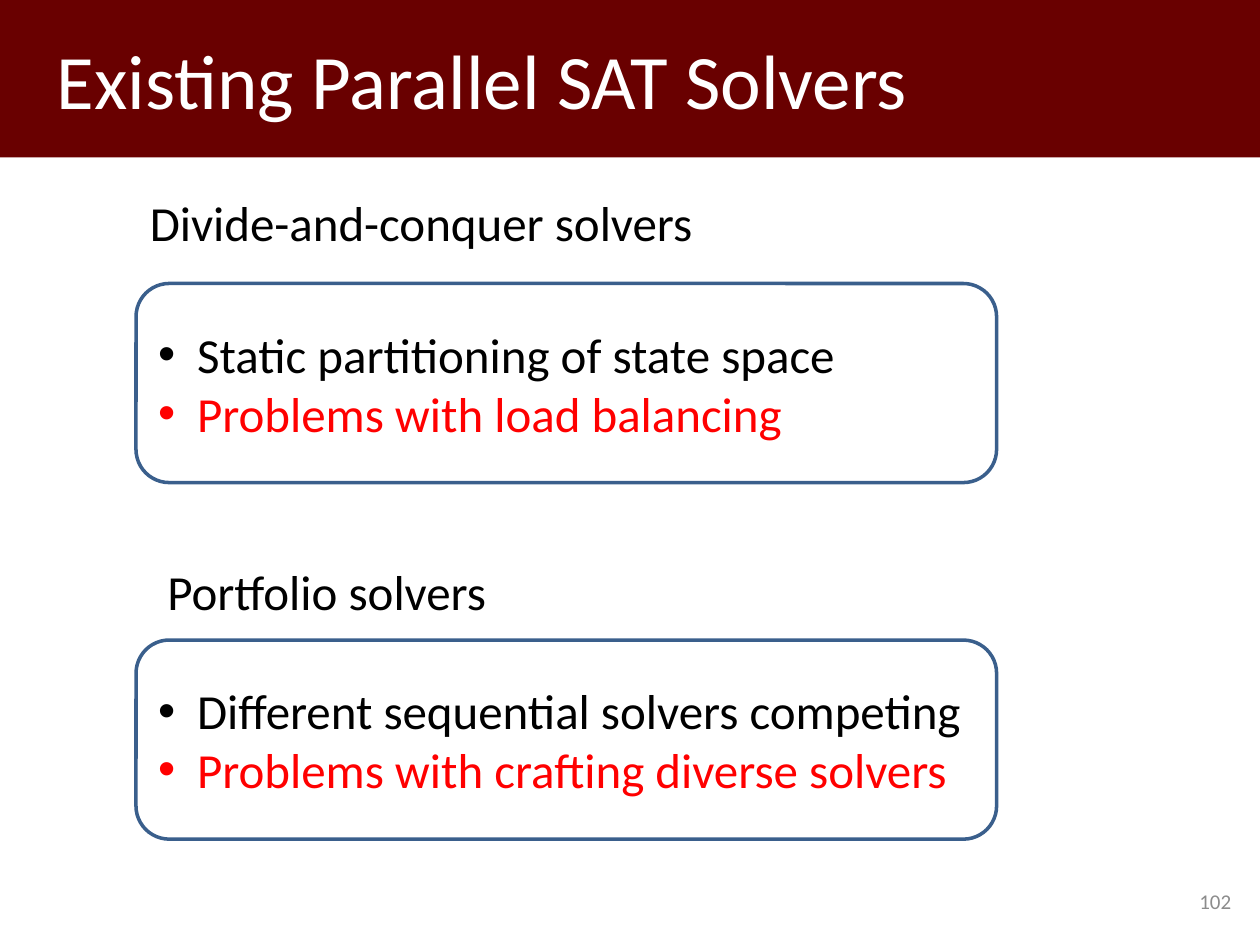
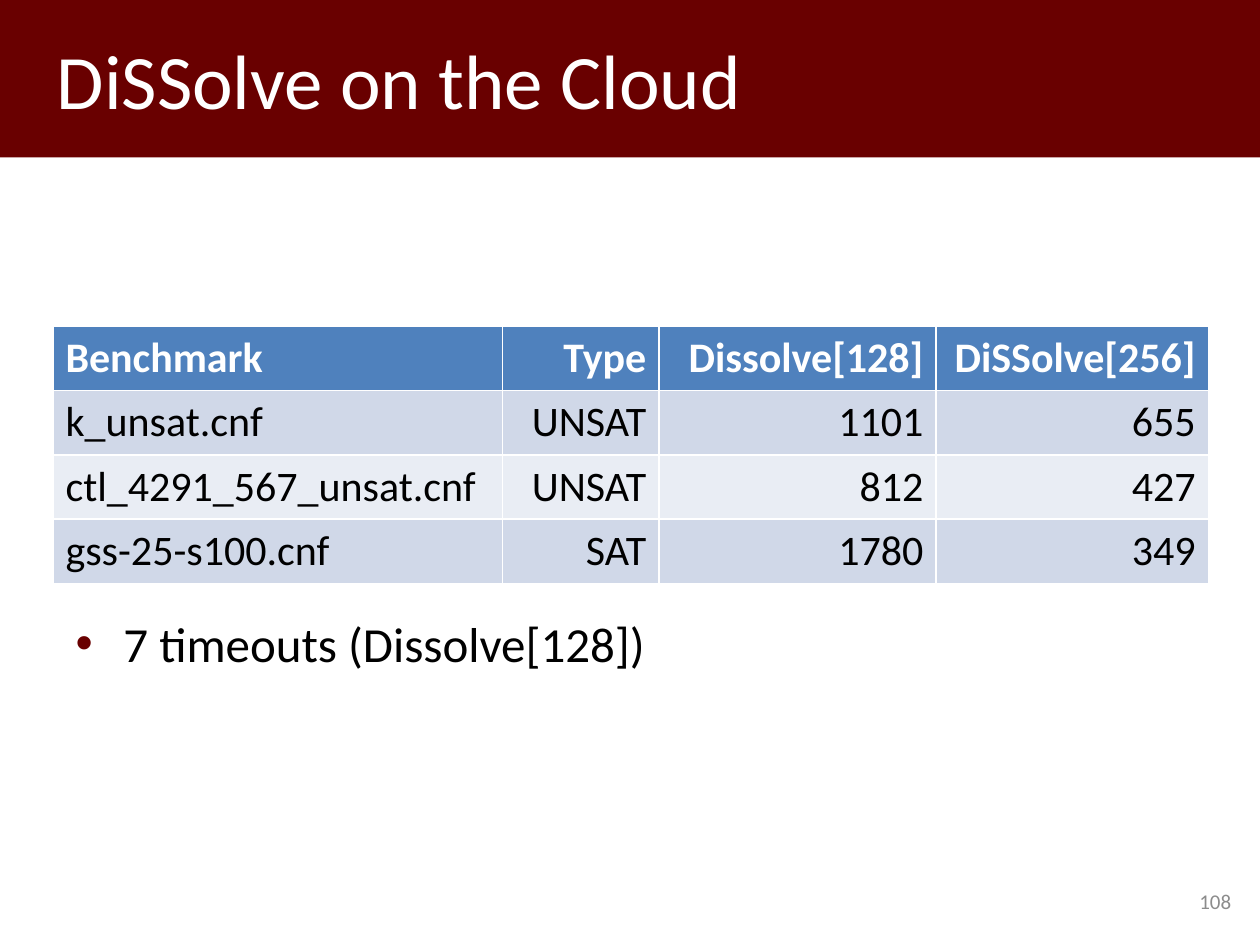
from lxml import etree
from pptx import Presentation
from pptx.dml.color import RGBColor
from pptx.enum import shapes, text
from pptx.oxml.ns import qn
from pptx.util import Inches, Pt

FONT = "Calibri"
COLORS = {
    "band": "690000", "title": "FFFFFF", "text": "000000", "problem": "FF0000",
    "outline": "3A5F8C", "page": "8C8C8C", "header": "4F81BD",
    "odd_row": "D0D8E8", "even_row": "E9EDF4",
}
LEFT, RIGHT = text.PP_ALIGN.LEFT, text.PP_ALIGN.RIGHT
TITLE_ONLY, TITLE_AND_CONTENT = 5, 1

SOLVER_FAMILIES = [
    # heading, heading left, heading top, box top, approach, problem
    ("Divide-and-conquer solvers", 1.09, 1.48, 2.25,
     "Static partitioning of state space", "Problems with load balancing"),
    ("Portfolio solvers", 1.23, 4.41, 5.08,
     "Different sequential solvers competing",
     "Problems with crafting diverse solvers"),
]
RUNTIMES = [
    ("Benchmark", "Type", "Dissolve[128]", "DiSSolve[256]"),
    ("k_unsat.cnf", "UNSAT", "1101", "655"),
    ("ctl_4291_567_unsat.cnf", "UNSAT", "812", "427"),
    ("gss-25-s100.cnf", "SAT", "1780", "349"),
]
COLUMN_WIDTHS = (3.57, 1.24, 2.2, 2.16)
ROW_HEIGHT = 0.51


def rgb(name):
    return RGBColor.from_string(COLORS[name])


def place(*lengths):
    return [Inches(length) for length in lengths]


def move(shape, *lengths):
    for side, length in zip(("left", "top", "width", "height"), place(*lengths)):
        setattr(shape, side, length)


def write(paragraph, words, size, color="text", bold=False, align=LEFT):
    paragraph.alignment = align
    font = paragraph.add_run().font
    paragraph.runs[0].text = words
    for key, value in {"name": FONT, "size": Pt(size), "bold": bold}.items():
        setattr(font, key, value)
    font.color.rgb = rgb(color)


def indent(paragraph, margin, first_line=0.0):
    properties = paragraph._p.get_or_add_pPr()
    properties.set("marL", str(Inches(margin)))
    properties.set("indent", str(Inches(first_line)))
    return properties


def add_bullet(paragraph, hang, color):
    properties = indent(paragraph, hang, -hang)
    bullet_color = etree.SubElement(properties, qn("a:buClr"))
    etree.SubElement(bullet_color, qn("a:srgbClr"), val=COLORS[color])
    etree.SubElement(properties, qn("a:buFont"), typeface="Arial")
    etree.SubElement(properties, qn("a:buChar"), char="•")


def add_label(slide, words, at, size, color="text", align=LEFT, wrap=False,
              anchor=text.MSO_ANCHOR.TOP):
    frame = slide.shapes.add_textbox(*place(*at)).text_frame
    frame.word_wrap = wrap
    frame.vertical_anchor = anchor
    write(frame.paragraphs[0], words, size, color, align=align)


def add_slide(deck, layout, heading, page):
    """Add a slide with the title band and the page number."""
    slide = deck.slides.add_slide(deck.slide_layouts[layout])
    title = slide.shapes.title
    move(title, 0, 0, 10, 1.25)
    title.fill.solid()
    title.fill.fore_color.rgb = rgb("band")
    title.text_frame.vertical_anchor = text.MSO_ANCHOR.MIDDLE
    indent(title.text_frame.paragraphs[0], 0.35)
    write(title.text_frame.paragraphs[0], heading, 44, "title")
    add_label(slide, page, (7.54, 6.95, 2.33, 0.4), 12, "page", RIGHT,
              wrap=True, anchor=text.MSO_ANCHOR.MIDDLE)
    return slide


def add_solver_box(slide, top, approach, problem):
    box = slide.shapes.add_shape(shapes.MSO_SHAPE.ROUNDED_RECTANGLE,
                                 *place(1.08, top, 6.83, 1.58))
    box.shadow.inherit = False
    box.fill.background()
    box.line.color.rgb = rgb("outline")
    box.line.width = Pt(2)
    frame = box.text_frame
    frame.vertical_anchor = text.MSO_ANCHOR.MIDDLE
    points = (frame.paragraphs[0], frame.add_paragraph())
    for point, words, color in zip(points, (approach, problem), ("text", "problem")):
        add_bullet(point, 0.31, color)
        write(point, words, 28, color)


def add_runtime_table(slide):
    size = (sum(COLUMN_WIDTHS), ROW_HEIGHT * len(RUNTIMES))
    table = slide.shapes.add_table(len(RUNTIMES), len(COLUMN_WIDTHS),
                                   *place(0.42, 2.59, *size)).table
    for column, width in zip(table.columns, COLUMN_WIDTHS):
        column.width = Inches(width)
    for r, row in enumerate(RUNTIMES):
        is_header = r == 0
        fill = "header" if is_header else "odd_row" if r % 2 else "even_row"
        for c, words in enumerate(row):
            cell = table.cell(r, c)
            cell.fill.solid()
            cell.fill.fore_color.rgb = rgb(fill)
            write(cell.text_frame.paragraphs[0], words, 24,
                  "title" if is_header else "text", is_header, RIGHT if c else LEFT)


def add_timeout_note(slide, words):
    body = slide.placeholders[1]
    move(body, 0.5, 4.82, 9, 1.87)
    note = body.text_frame.paragraphs[0]
    add_bullet(note, 0.38, "band")
    note.space_before = Pt(0)
    write(note, words, 28)


def main():
    deck = Presentation()
    deck.slide_width, deck.slide_height = place(10, 7.5)

    solvers = add_slide(deck, TITLE_ONLY, "Existing Parallel SAT Solvers", "102")
    for family, left, top, box_top, approach, problem in SOLVER_FAMILIES:
        add_solver_box(solvers, box_top, approach, problem)
        add_label(solvers, family, (left, top, 4.65, 0.57), 28)

    cloud = add_slide(deck, TITLE_AND_CONTENT, "DiSSolve on the Cloud", "108")
    add_runtime_table(cloud)
    add_timeout_note(cloud, "7 timeouts (Dissolve[128])")

    deck.save("out.pptx")


if __name__ == "__main__":
    main()
